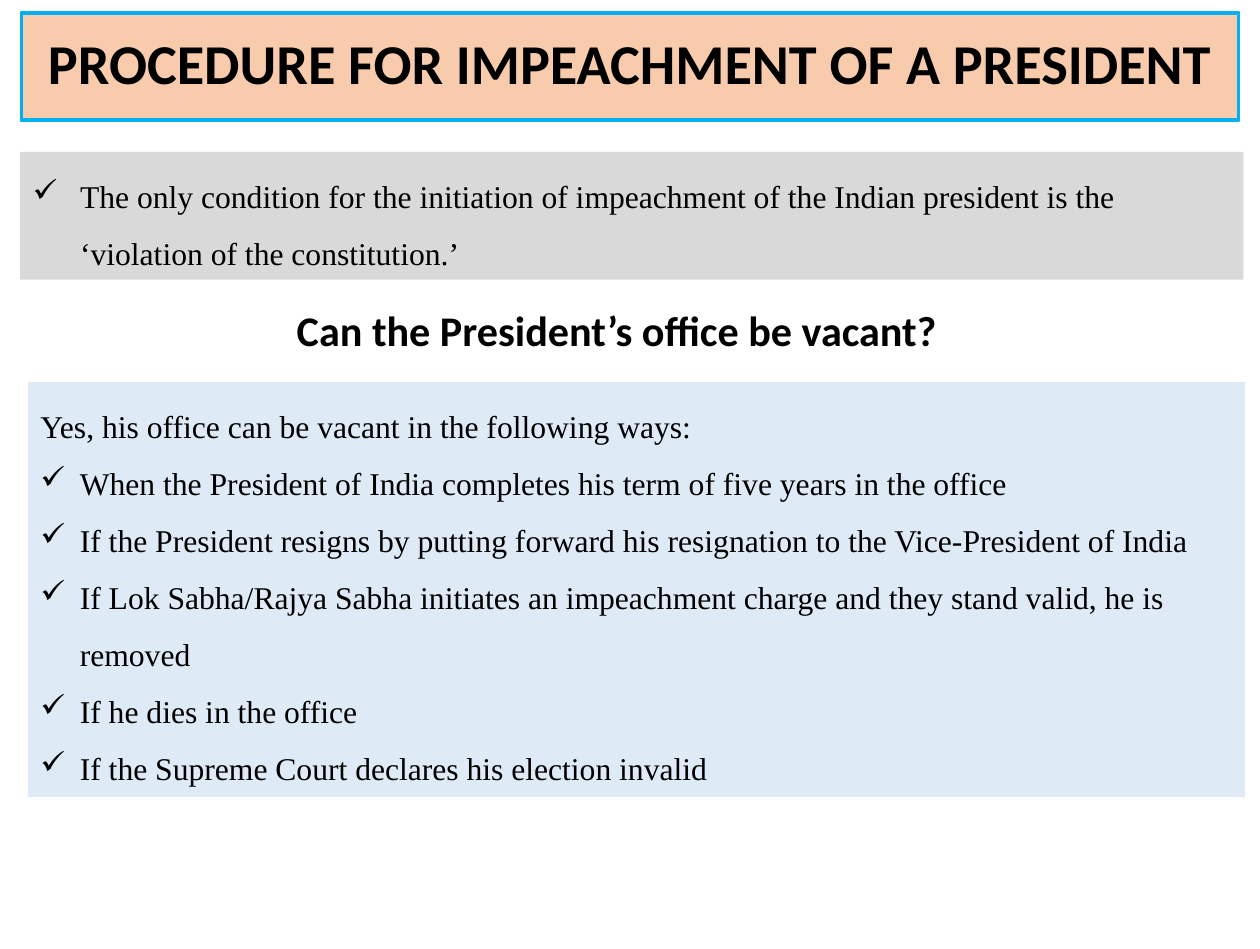
import pptx
import pptx.dml.color
import pptx.enum.shapes
import pptx.enum.text
import pptx.oxml.ns
import pptx.util
import lxml.etree

Pt = pptx.util.Pt
RGBColor = pptx.dml.color.RGBColor
ALIGN = pptx.enum.text.PP_ALIGN
ANCHOR = pptx.enum.text.MSO_ANCHOR
AUTO_SIZE = pptx.enum.text.MSO_AUTO_SIZE

BLACK = RGBColor(0x00, 0x00, 0x00)
PEACH = RGBColor(0xF8, 0xCB, 0xAD)
SKY = RGBColor(0x00, 0xB0, 0xF0)
GREY = RGBColor(0xD9, 0xD9, 0xD9)
PALE_BLUE = RGBColor(0xDE, 0xEB, 0xF7)

TITLE = {"name": "Calibri", "size": Pt(32), "bold": True}
HEADING = {"name": "Calibri", "size": Pt(24), "bold": True}
BODY = {"name": "Times New Roman", "size": Pt(18), "bold": False}

VACANCY_WAYS = [
    "When the President of India completes his term of five years in the office",
    "If the President resigns by putting forward his resignation to the Vice-President of India",
    "If Lok Sabha/Rajya Sabha initiates an impeachment charge and they stand valid, he is removed",
    "If he dies in the office",
    "If the Supreme Court declares his election invalid",
]


class Page:
    def __init__(self, deck):
        self.shapes = deck.slides.add_slide(deck.slide_layouts[6]).shapes

    def panel(self, bounds, fill, outline=None):
        box = self.shapes.add_shape(
            pptx.enum.shapes.MSO_SHAPE.RECTANGLE, *map(Pt, bounds))
        box.shadow.inherit = False
        box.fill.solid()
        box.fill.fore_color.rgb = fill
        if outline is None:
            box.line.fill.background()
        else:
            box.line.color.rgb = outline
            box.line.width = Pt(2.25)
        return box

    def label(self, bounds):
        return self.shapes.add_textbox(*map(Pt, bounds))

    def add_lines(self, box, lines, style, align=ALIGN.LEFT, spacing=1.0,
                  anchor=ANCHOR.TOP, auto_size=AUTO_SIZE.SHAPE_TO_FIT_TEXT):
        """Fill a box with (text, check-mark indent) lines; indent 0 means no mark."""
        frame = box.text_frame
        frame.word_wrap = True
        frame.vertical_anchor = anchor
        frame.auto_size = auto_size
        for index, (text, indent) in enumerate(lines):
            para = frame.add_paragraph() if index else frame.paragraphs[0]
            para.alignment = align
            para.line_spacing = spacing
            if indent:
                self.check_mark(para, indent)
            span = para.add_run()
            span.text = text
            for name, value in style.items():
                setattr(span.font, name, value)
            span.font.color.rgb = BLACK

    def check_mark(self, para, indent):
        properties = para._p.get_or_add_pPr()
        properties.set("marL", str(Pt(indent)))
        properties.set("indent", str(-Pt(indent)))
        bullet = lxml.etree.SubElement(properties, pptx.oxml.ns.qn("a:buChar"))
        bullet.set("char", "✓")


def main():
    deck = pptx.Presentation()
    deck.slide_width, deck.slide_height = Pt(717.12), Pt(540)
    page = Page(deck)

    title = page.panel((12.24, 7.2, 692.64, 61.2), PEACH, SKY)
    page.add_lines(title, [("PROCEDURE FOR IMPEACHMENT OF A PRESIDENT", 0)], TITLE,
                   ALIGN.CENTER, 0.9, ANCHOR.MIDDLE, AUTO_SIZE.NONE)

    condition = page.panel((11.52, 86.4, 696.24, 72.72), GREY)
    page.add_lines(condition, [(
        "The only condition for the initiation of impeachment of the Indian "
        "president is the ‘violation of the constitution.’", 27)], BODY, spacing=1.5)

    question = page.label((140.4, 169.92, 421.2, 36))
    page.add_lines(question, [("Can the President’s office be vacant?", 0)], HEADING,
                   ALIGN.CENTER)

    answer = page.panel((15.84, 217.44, 692.64, 236.16), PALE_BLUE)
    lines = [("Yes, his office can be vacant in the following ways:", 0)]
    lines += [(way, 22.5) for way in VACANCY_WAYS]
    page.add_lines(answer, lines, BODY, spacing=1.5)

    deck.save("out.pptx")


if __name__ == "__main__":
    main()
